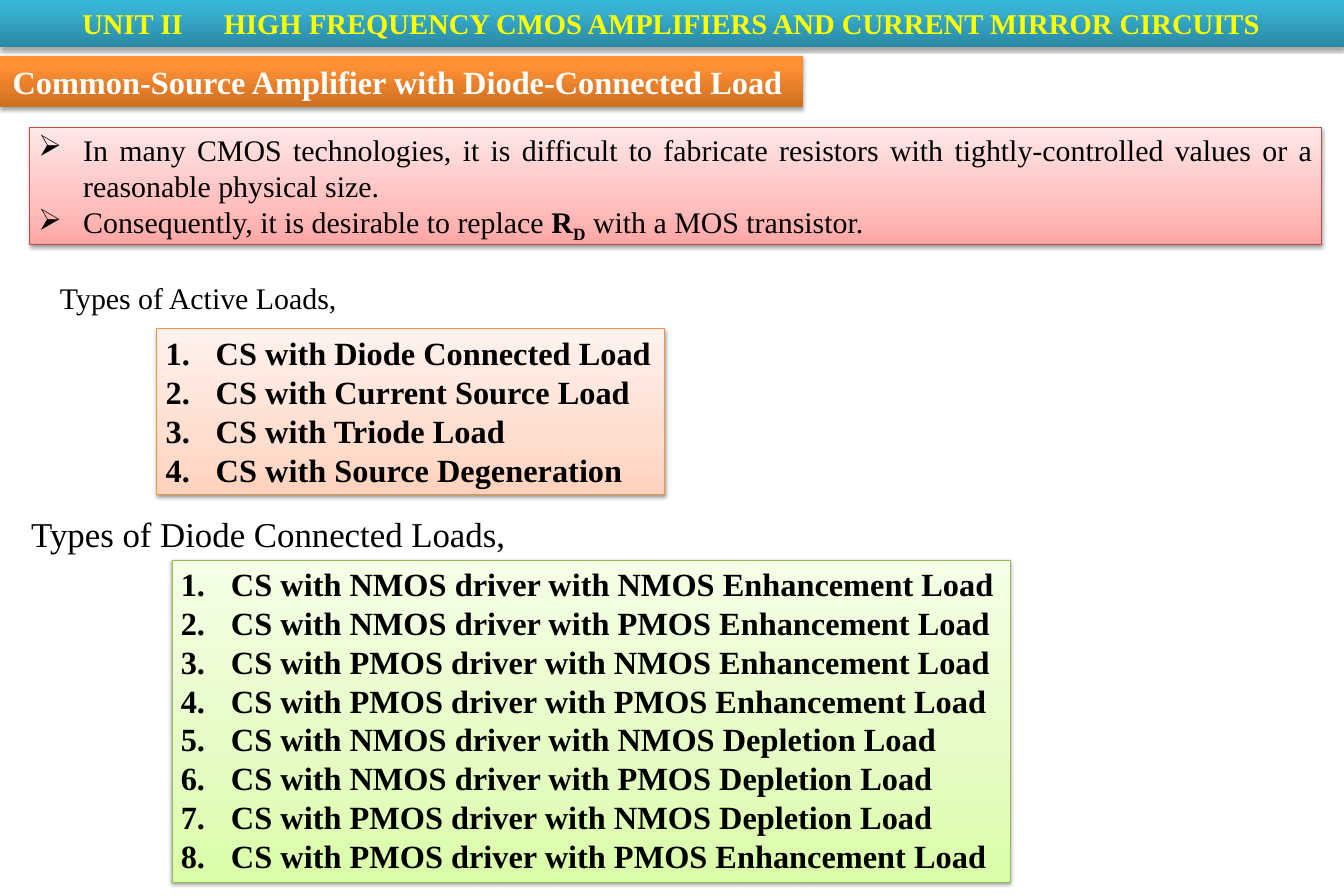
"""Build a slide on common-source amplifiers with diode-connected loads."""
import dataclasses

import pptx
import pptx.dml.color
import pptx.enum.shapes
import pptx.enum.text
import pptx.oxml
import pptx.oxml.ns
import pptx.util
from pptx.util import Inches

FONT = "Times New Roman"
ALIGN = pptx.enum.text.PP_ALIGN
NUMBERED = "numbered"
ARROW = "➢"


@dataclasses.dataclass(frozen=True)
class Span:
    """A piece of text with its own weight and baseline."""
    text: str
    bold: bool | None = None
    baseline: int = 0


@dataclasses.dataclass(frozen=True)
class Panel:
    """A gradient panel with a soft shadow, or a plain label without stops."""
    place: tuple[float, float, float, float]
    paras: list[list[Span]]
    size: int
    stops: tuple[tuple[int, str], ...] = ()
    line: str = ""
    color: str = "000000"
    bold: bool = False
    align: ALIGN = ALIGN.LEFT
    bullet: str = ""
    indent: float = 0
    wrap: bool = False
    insets: tuple[float, float] = (0.1, 0.05)
    shadow: tuple[int, float] = (38, 1.6)


def plain(*lines: str) -> list[list[Span]]:
    """Turn each line into a paragraph of one span."""
    return [[Span(line)] for line in lines]


def rgb(value: str) -> pptx.dml.color.RGBColor:
    """Convert a hex string to a colour."""
    return pptx.dml.color.RGBColor.from_string(value)


def element(tag: str, attributes: str = "", inner: str = ""):
    """Make one DrawingML element."""
    namespace = pptx.oxml.ns.nsdecls("a")
    return pptx.oxml.parse_xml(f"<a:{tag} {namespace} {attributes}>{inner}</a:{tag}>")


def set_gradient(box, stops: tuple[tuple[int, str], ...]) -> None:
    """Fill a shape with an upward gradient."""
    box.fill.gradient()
    box.fill.gradient_angle = 90
    stop_list = box._element.spPr.find(".//" + pptx.oxml.ns.qn("a:gsLst"))
    stop_list.clear()
    for position, color in stops:
        stop_list.append(element("gs", f'pos="{position * 1000}"', f'<a:srgbClr val="{color}"/>'))


def set_shadow(box, opacity: int, distance: float) -> None:
    """Give a shape a soft shadow below it."""
    box.shadow.inherit = False
    effects = box._element.spPr.find(pptx.oxml.ns.qn("a:effectLst"))
    attributes = (f'blurRad="{pptx.util.Pt(3.1)}" dist="{pptx.util.Pt(distance)}" '
                  'dir="5400000" rotWithShape="0"')
    color = f'<a:srgbClr val="000000"><a:alpha val="{opacity * 1000}"/></a:srgbClr>'
    effects.append(element("outerShdw", attributes, color))


def set_paragraph(para, panel: Panel, spans: list[Span]) -> None:
    """Write one paragraph with its bullet, indent and font."""
    para.alignment = panel.align
    properties = para._p.get_or_add_pPr()
    if panel.indent:
        properties.set("marL", str(Inches(panel.indent)))
        properties.set("indent", str(Inches(-panel.indent)))
    if panel.bullet == NUMBERED:
        properties.append(element("buFont", 'typeface="+mj-lt"'))
        properties.append(element("buAutoNum", 'type="arabicPeriod"'))
    elif panel.bullet:
        properties.append(element("buChar", f'char="{panel.bullet}"'))
    para.font.name = FONT
    para.font.size = pptx.util.Pt(panel.size)
    para.font.bold = panel.bold
    para.font.color.rgb = rgb(panel.color)
    for item in spans:
        span = para.add_run()
        span.text = item.text
        if item.bold is not None:
            span.font.bold = item.bold
        if item.baseline:
            span._r.get_or_add_rPr().set("baseline", str(item.baseline * 1000))


def draw_panel(page, panel: Panel) -> None:
    """Draw one panel or label."""
    place = [Inches(length) for length in panel.place]
    if panel.stops:
        box = page.shapes.add_shape(pptx.enum.shapes.MSO_SHAPE.RECTANGLE, *place)
        set_gradient(box, panel.stops)
        set_shadow(box, *panel.shadow)
        if panel.line:
            box.line.color.rgb = rgb(panel.line)
            box.line.width = pptx.util.Pt(0.75)
        else:
            box.line.fill.background()
    else:
        box = page.shapes.add_textbox(*place)
    frame = box.text_frame
    frame.word_wrap = panel.wrap
    frame.auto_size = pptx.enum.text.MSO_AUTO_SIZE.SHAPE_TO_FIT_TEXT
    frame.vertical_anchor = pptx.enum.text.MSO_ANCHOR.TOP
    frame.margin_left = frame.margin_right = Inches(panel.insets[0])
    frame.margin_top = frame.margin_bottom = Inches(panel.insets[1])
    for number, spans in enumerate(panel.paras):
        para = frame.add_paragraph() if number else frame.paragraphs[0]
        set_paragraph(para, panel, spans)


PANELS = [
    Panel((0, 0.62, 8.96, 0.58), plain("Common-Source Amplifier with Diode-Connected Load"), 26,
          ((0, "CC6E20"), (80, "FF9034"), (100, "FF9136")), color="FFFFFF", bold=True,
          indent=0.54, insets=(0.14, 0.07), shadow=(35, 1.8)),
    Panel((0, 0, 15, 0.53),
          plain("UNIT II\t HIGH FREQUENCY CMOS AMPLIFIERS AND CURRENT MIRROR CIRCUITS"), 23,
          ((0, "2A88A2"), (80, "37B1D2"), (100, "34B4D6")), color="FFFF00", bold=True,
          align=ALIGN.CENTER, wrap=True, insets=(0.14, 0.07), shadow=(35, 1.8)),
    Panel((0.33, 1.42, 14.42, 1.31),
          [[Span("In many CMOS technologies, it is difficult to fabricate resistors with "
                 "tightly-controlled values or a reasonable physical size.")],
           [Span("Consequently, it is desirable to replace "), Span("R", True),
            Span("D", True, -25), Span(" with a MOS transistor.")]], 24,
          ((0, "FFA6A5"), (35, "FFC0BF"), (100, "FFE7E7")), "BF4C48",
          align=ALIGN.JUSTIFY, bullet=ARROW, indent=0.5, wrap=True),
    Panel((0.57, 3.07, 3.32, 0.5), plain("Types of Active Loads,"), 24),
    Panel((1.75, 3.67, 5.67, 1.85),
          plain("CS with Diode Connected Load", "CS with Current Source Load",
                "CS with Triode Load", "CS with Source Degeneration"), 26,
          ((0, "FFD2BD"), (35, "FFDED0"), (100, "FFF2ED")), "F69240",
          bold=True, bullet=NUMBERED, indent=0.56),
    Panel((0.25, 5.67, 5.55, 0.57), plain("Types of Diode Connected Loads,"), 28),
    Panel((1.92, 6.25, 9.36, 3.6),
          plain("CS with NMOS driver with NMOS Enhancement Load",
                "CS with NMOS driver with PMOS Enhancement Load",
                "CS with PMOS driver with NMOS Enhancement Load",
                "CS with PMOS driver with PMOS Enhancement Load",
                "CS with NMOS driver with NMOS Depletion Load",
                "CS with NMOS driver with PMOS Depletion Load",
                "CS with PMOS driver with NMOS Depletion Load",
                "CS with PMOS driver with PMOS Enhancement Load"), 26,
          ((0, "DAFDA7"), (35, "E4FCC2"), (100, "F5FFE7")), "98B955",
          bold=True, bullet=NUMBERED, indent=0.56),
]


def main() -> None:
    """Build and save the deck."""
    deck = pptx.Presentation()
    deck.slide_width, deck.slide_height = Inches(15), Inches(10)
    page = deck.slides.add_slide(deck.slide_layouts[6])
    for panel in PANELS:
        draw_panel(page, panel)
    deck.save("out.pptx")


if __name__ == "__main__":
    main()
